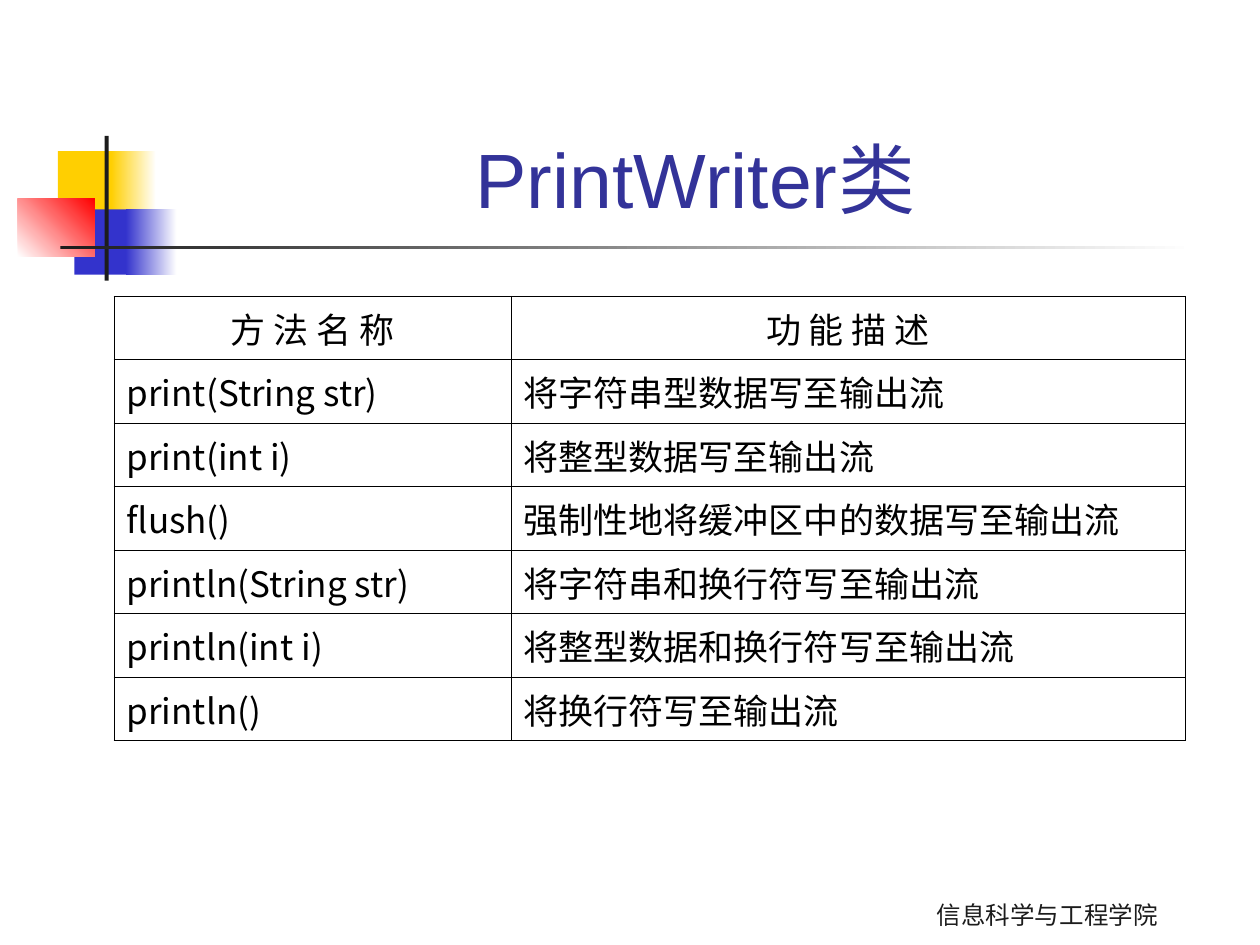
from lxml.etree import SubElement
from pptx import Presentation
from pptx.dml.color import RGBColor
from pptx.enum.shapes import MSO_SHAPE as Preset
from pptx.enum.text import MSO_ANCHOR as Anchor, PP_ALIGN as Align
from pptx.oxml import parse_xml
from pptx.oxml.ns import nsdecls, qn
from pptx.util import Cm, Pt

COLORS = {
    "yellow": "FFCF01", "blue": "3333CC", "red": "FF0000", "ink": "1C1C1C",
    "title": "333399", "black": "000000", "white": "FFFFFF",
}
CJK_FONT = "Noto Sans CJK SC"
BORDER_PT = 0.45

# left, top, width, height in cm; start colour; end colour; angle
DECORATIONS = [
    (1.17, 3.05, 1.22, 1.32, "yellow", None, 0),
    (2.24, 3.05, 0.91, 1.32, "yellow", "white", 0),
    (1.5, 4.22, 1.17, 1.32, "blue", None, 0),
    (2.54, 4.22, 1.02, 1.32, "blue", "white", 0),
    (0.36, 4.01, 1.55, 1.17, "white", "red", 45),
    (2.11, 2.74, 0.08, 2.92, "ink", None, 0),
    (1.22, 4.95, 22.86, 0.08, "ink", "white", 0),
]
METHODS = [
    ("方 法 名 称", "功 能 描 述"),
    ("print(String str)", "将字符串型数据写至输出流"),
    ("print(int i)", "将整型数据写至输出流"),
    ("flush()", "强制性地将缓冲区中的数据写至输出流"),
    ("println(String str)", "将字符串和换行符写至输出流"),
    ("println(int i)", "将整型数据和换行符写至输出流"),
    ("println()", "将换行符写至输出流"),
]


def rgb(name):
    return RGBColor.from_string(COLORS[name])


class SlideBuilder:
    def __init__(self, slide):
        self.slide = slide

    def set_text(self, text_frame, text, size, font, color, align):
        text_frame.text = text
        text_frame.word_wrap = True
        paragraph = text_frame.paragraphs[0]
        paragraph.alignment = align
        for run in paragraph.runs:
            run.font.size = Pt(size)
            run.font.name = font
            run.font.color.rgb = rgb(color)
            SubElement(run.font._element, qn("a:ea"), typeface=CJK_FONT)

    def title(self, text, left, top, width, height):
        title = self.slide.shapes.title
        title.left, title.top = Cm(left), Cm(top)
        title.width, title.height = Cm(width), Cm(height)
        self.set_text(title.text_frame, text, 44, "Arial", "title", Align.CENTER)
        title.text_frame.vertical_anchor = Anchor.BOTTOM

    def rectangle(self, left, top, width, height, start, end, angle):
        """Fill plainly with start, or as a gradient when end is given."""
        shape = self.slide.shapes.add_shape(
            Preset.RECTANGLE, Cm(left), Cm(top), Cm(width), Cm(height))
        shape.shadow.inherit = False
        shape.line.fill.background()
        if end is None:
            shape.fill.solid()
            shape.fill.fore_color.rgb = rgb(start)
            return
        shape.fill.gradient()
        shape.fill.gradient_angle = angle
        for stop, color, position in zip(shape.fill.gradient_stops, (start, end), (0, 1)):
            stop.color.rgb = rgb(color)
            stop.position = position

    def border(self, cell):
        properties = cell._tc.get_or_add_tcPr()
        for index, side in enumerate("LRTB"):
            properties.insert(index, parse_xml(
                f'<a:ln{side} {nsdecls("a")} w="{Pt(BORDER_PT)}"><a:solidFill>'
                f'<a:srgbClr val="{COLORS["black"]}"/></a:solidFill></a:ln{side}>'))

    def table(self, rows, left, top, column_widths, row_height):
        table = self.slide.shapes.add_table(
            len(rows), len(column_widths), Cm(left), Cm(top),
            Cm(sum(column_widths)), Cm(row_height * len(rows))).table
        for column, width in zip(table.columns, column_widths):
            column.width = Cm(width)
        for row_index, texts in enumerate(rows):
            table.rows[row_index].height = Cm(row_height)
            align = Align.LEFT if row_index else Align.CENTER
            for column_index, text in enumerate(texts):
                cell = table.cell(row_index, column_index)
                cell.fill.background()
                cell.vertical_anchor = Anchor.MIDDLE
                self.set_text(cell.text_frame, text, 20, CJK_FONT, "black", align)
                self.border(cell)

    def footer(self, text, left, top, width, height):
        box = self.slide.shapes.add_textbox(Cm(left), Cm(top), Cm(width), Cm(height))
        self.set_text(box.text_frame, text, 14, "Roboto", "ink", Align.CENTER)
        box.text_frame.vertical_anchor = Anchor.BOTTOM


def main():
    presentation = Presentation()
    presentation.slide_width, presentation.slide_height = Cm(25.4), Cm(19.05)
    builder = SlideBuilder(presentation.slides.add_slide(presentation.slide_layouts[5]))
    for decoration in DECORATIONS:
        builder.rectangle(*decoration)
    builder.title("PrintWriter类", 3.2, 0.58, 21.64, 4.06)
    builder.table(METHODS, 2.3, 5.97, (8, 13.59), 1.28)
    builder.footer("信息科学与工程学院", 17.09, 18.01, 8.05, 0.86)
    presentation.save("out.pptx")


if __name__ == "__main__":
    main()
